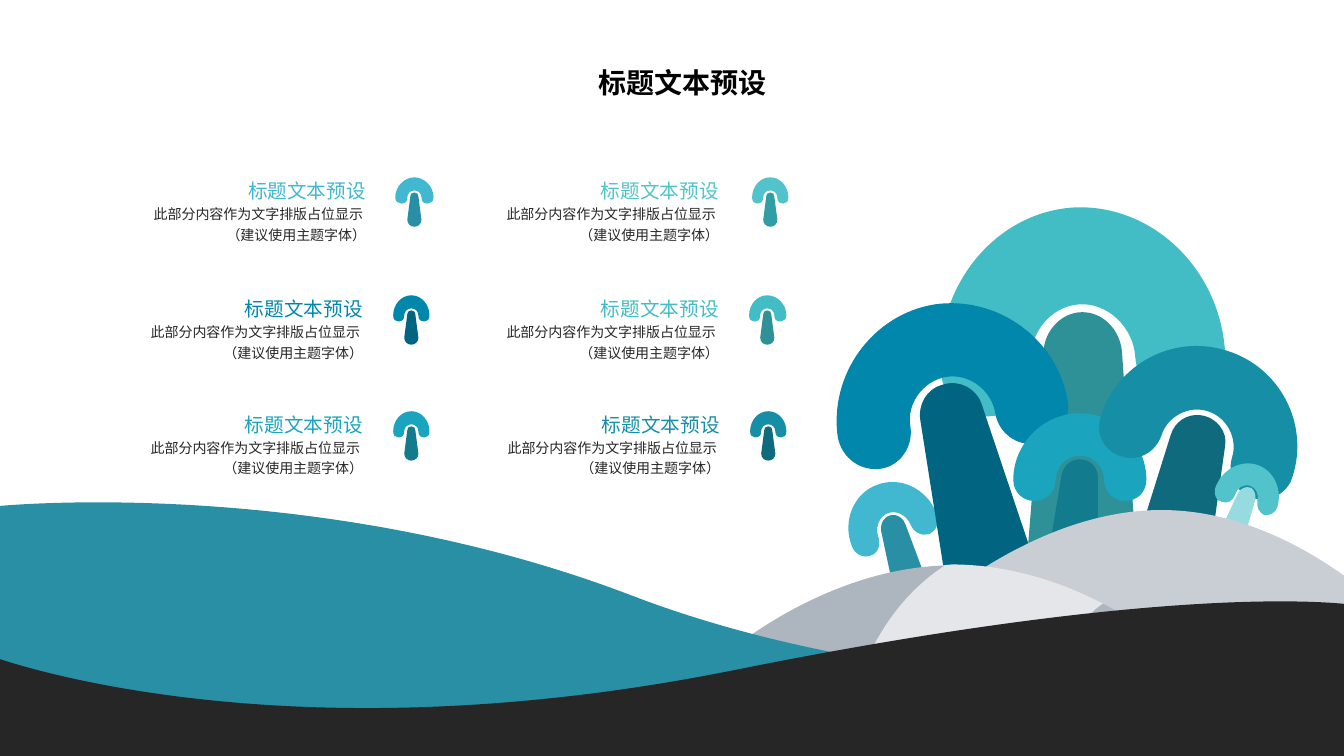
from copy import deepcopy
from math import cos, radians, sin

from pptx import Presentation, util as u
from pptx.dml.color import RGBColor
from pptx.enum import text
from pptx.oxml import ns, xmlchemy

FONT = "Noto Sans CJK SC"
HEADING = "标题文本预设"
BODY = "此部分内容作为文字排版占位显示 \n（建议使用主题字体）"
INK = "262626"

# Outlines: a start point, then lines (x, y) and curves (two controls, end).
# Mushroom parts are in shares of the cap radius, seen from the cap's centre.
HALF_CAP = [(0, -1), (.55, -1, 1, -.55, 1, 0), (1, .18, .86, .32, .68, .32),
            (.51, .32, .37, .18, .37, 0), (.37, -.2, .2, -.37, 0, -.37)]
HALF_ICON_STEM = [(0, -.25), (.14, -.25, .24, -.15, .24, -.03), (.36, 1.1),
                  (.36, 1.28, .2, 1.44, 0, 1.44)]
TREE_STEM = [(.28, -.03), (.28, 1.54), (.28, 1.77, .1, 1.95, -.13, 1.95),
             (-.34, 1.95, -.53, 1.77, -.53, 1.48), (-.27, -.08),
             (-.25, -.23, -.1, -.34, .05, -.31), (.18, -.29, .28, -.17, .28, -.03)]
# Cap centre, radius, stretch, angle, stem side, cap colour, stem colour.
TREES = [
    (10.74, 3.58, 1.41, 1.08, -4.1, 1, "42BDC6", "2E9198"),
    (8.87, 5.26, 0.45, 1.08, -20.6, 1, "41B7D0", "298FA4"),
    (9.45, 4.16, 1.15, 1, -9, -1, "0187AC", "016581"),
    (10.71, 4.76, 0.66, 1, 0, 1, "1AA4BE", "137B8E"),
    (11.87, 4.43, 1, 1, 17.4, -1, "168EA6", "106A7D"),
    (12.36, 4.94, 0.32, 1.08, 16.4, 1, "52C3CB", "97DBE0"),
]
BACK_HILL = ("C9CED5", [(14.14, 6.44), (8.76, 6.44), (8.76, 6.44, 10.03, 5.06, 11.52, 5.06),
                        (13, 5.06, 14.14, 6.44, 14.14, 6.44)])
FRONT_HILL = [
    ("E4E6EA", [(10.94, 5.99), (10.54, 5.78, 10.01, 5.6, 9.44, 5.6), (9.34, 5.61),
                (9, 5.85, 8.72, 6.2, 8.56, 6.56), (10.56, 6.56),
                (10.64, 6.34, 10.74, 6.12, 10.94, 5.99)]),
    ("ADB5BF", [(9.37, 5.61), (8.11, 5.65, 7.11, 6.56, 7.11, 6.56), (8.59, 6.56),
                (8.75, 6.2, 9, 5.85, 9.37, 5.61)]),
    ("ADB5BF", [(10.94, 5.99), (10.74, 6.12, 10.64, 6.34, 10.56, 6.56), (11.8, 6.56),
                (11.8, 6.56, 11.47, 6.26, 10.94, 5.99)]),
]
WATER = ("298FA4", [(0, 5.02), (0, 5.02, 3.14, 4.71, 6.27, 5.91),
                    (9.4, 7.11, 13.33, 6.78, 13.33, 6.78), (13.33, 7.51), (0, 7.51)])
GROUND = (INK, [(13.48, 6.03), (13.48, 6.03, 11.91, 5.74, 7.28, 6.67),
                (2.64, 7.6, -0.15, 6.51, -0.15, 6.51), (-0.15, 7.51), (13.48, 7.51)])

COLUMNS = (1.2, 4.73)
ROWS = (1.71, 2.88, 4.03)
ICON_CENTER = (2.88, 0.25)
ICON_RADIUS, ICON_STRETCH = 0.185, 1.08
# Column, row, cap and heading colour, stem colour, nudge of text, nudge of icon.
ITEMS = [
    (0, 0, "41B7D0", "298FA4", 0.03, 0.03), (0, 1, "0187AC", "016581", 0, 0),
    (1, 0, "52C3CB", "319DA4", 0, 0.03), (1, 1, "42BDC6", "2E9198", 0, 0),
    (0, 2, "1AA4BE", "137B8E", 0, 0), (1, 2, "168EA6", "106A7D", 0.01, 0.01),
]


def color(hex_code):
    """Turn a hex string into a colour."""
    return RGBColor.from_string(hex_code)


def expand(outline):
    """List the points of an outline, three for every line or curve."""
    steps = [step * 3 if len(step) == 2 else step for step in outline[1:]]
    return [outline[0]] + [pair for step in steps for pair in zip(step[::2], step[1::2])]


def mirror(outline):
    """Complete a half outline with its reflection."""
    half = expand(outline)
    return half + [(-x, y) for x, y in half[-2::-1]]


def place(points, center_x, center_y, radius, stretch=1, angle=0, side=1):
    """Scale, flip, turn and move points given in shares of a radius."""
    turn_x, turn_y = cos(radians(angle)), sin(radians(angle))
    scaled = [(x * radius * side, y * radius * stretch) for x, y in points]
    return [(center_x + x * turn_x - y * turn_y, center_y + x * turn_y + y * turn_x)
            for x, y in scaled]


def add_outline(parent, fill, points, line=None):
    """Draw a filled outline made of Bézier curves."""
    points = [(x * 100, y * 100) for x, y in points]
    builder = parent.shapes.build_freeform(*points[0], scale=u.Inches(0.01))
    builder.add_line_segments(points[1:], close=True)
    shape = builder.convert_to_shape()
    segments = list(shape._element.iter(ns.qn("a:lnTo")))
    for triple in zip(*[iter(segments)] * 3):
        curve = xmlchemy.OxmlElement("a:cubicBezTo")
        triple[0].addprevious(curve)
        for segment in triple:
            curve.append(segment[0])
            segment.getparent().remove(segment)
    shape.shadow.inherit = False
    shape.fill.solid()
    shape.fill.fore_color.rgb = color(fill)
    if line:
        shape.line.color.rgb = color(line)
        shape.line.width = u.Pt(3)
    else:
        shape.line.fill.background()


def add_text(parent, words, area, size, ink, align="RIGHT", anchor="TOP", bold=False,
             wrap=False, spacing=None, insets=(0, 0, 0.31, 0)):
    """Add a text box with one formatted paragraph."""
    box = parent.shapes.add_textbox(*map(u.Inches, area))
    frame = box.text_frame
    frame.auto_size = text.MSO_AUTO_SIZE.NONE
    frame.word_wrap = wrap
    frame.vertical_anchor = text.MSO_ANCHOR[anchor]
    (frame.margin_left, frame.margin_top,
     frame.margin_right, frame.margin_bottom) = map(u.Inches, insets)
    para = frame.paragraphs[0]
    para.text = words
    para.alignment = text.PP_ALIGN[align]
    para.line_spacing = spacing
    for span in para.runs:
        span.font.size, span.font.bold, span.font.name = u.Pt(size), bold, FONT
        span.font.color.rgb = color(ink)
        asian = xmlchemy.OxmlElement("a:ea")
        asian.set("typeface", FONT)
        span.font._element.find(ns.qn("a:latin")).addnext(asian)
    for line_break in para._p.findall(ns.qn("a:br")):
        line_break.append(deepcopy(para.runs[0].font._element))


def main():
    """Build the slide and save it."""
    deck = Presentation()
    deck.slide_width, deck.slide_height = u.Inches(13.33), u.Inches(7.5)
    page = deck.slides.add_slide(deck.slide_layouts[6])
    for *pose, side, cap, stem in TREES:
        tree = page.shapes.add_group_shape()
        add_outline(tree, stem, place(expand(TREE_STEM), *pose, side))
        add_outline(tree, cap, place(mirror(HALF_CAP), *pose))
    add_outline(page, BACK_HILL[0], expand(BACK_HILL[1]))
    hill = page.shapes.add_group_shape()
    for fill, outline in FRONT_HILL:
        add_outline(hill, fill, expand(outline))
    add_outline(page, WATER[0], expand(WATER[1]))
    add_outline(page, GROUND[0], expand(GROUND[1]), line=INK)
    for column, row, cap, stem, text_nudge, icon_nudge in ITEMS:
        left, top = COLUMNS[column], ROWS[row]
        icon = page.shapes.add_group_shape()
        pose = (left + ICON_CENTER[0] + icon_nudge, top + ICON_CENTER[1],
                ICON_RADIUS, ICON_STRETCH)
        add_outline(icon, stem, place(mirror(HALF_ICON_STEM), *pose))
        add_outline(icon, cap, place(mirror(HALF_CAP), *pose))
        caption = page.shapes.add_group_shape()
        left += text_nudge
        add_text(caption, HEADING, (left, top, 2.71, 0.3), 14, cap, anchor="BOTTOM")
        add_text(caption, BODY, (left, top + 0.3, 2.71, 0.78), 10, INK, wrap=True, spacing=1.2)
    add_text(page, HEADING, (3.68, 0.53, 6.18, 0.58), 20, "000000", align="CENTER",
             anchor="MIDDLE", bold=True, insets=(0.1, 0.05, 0.1, 0.05))
    deck.save("out.pptx")


if __name__ == "__main__":
    main()
